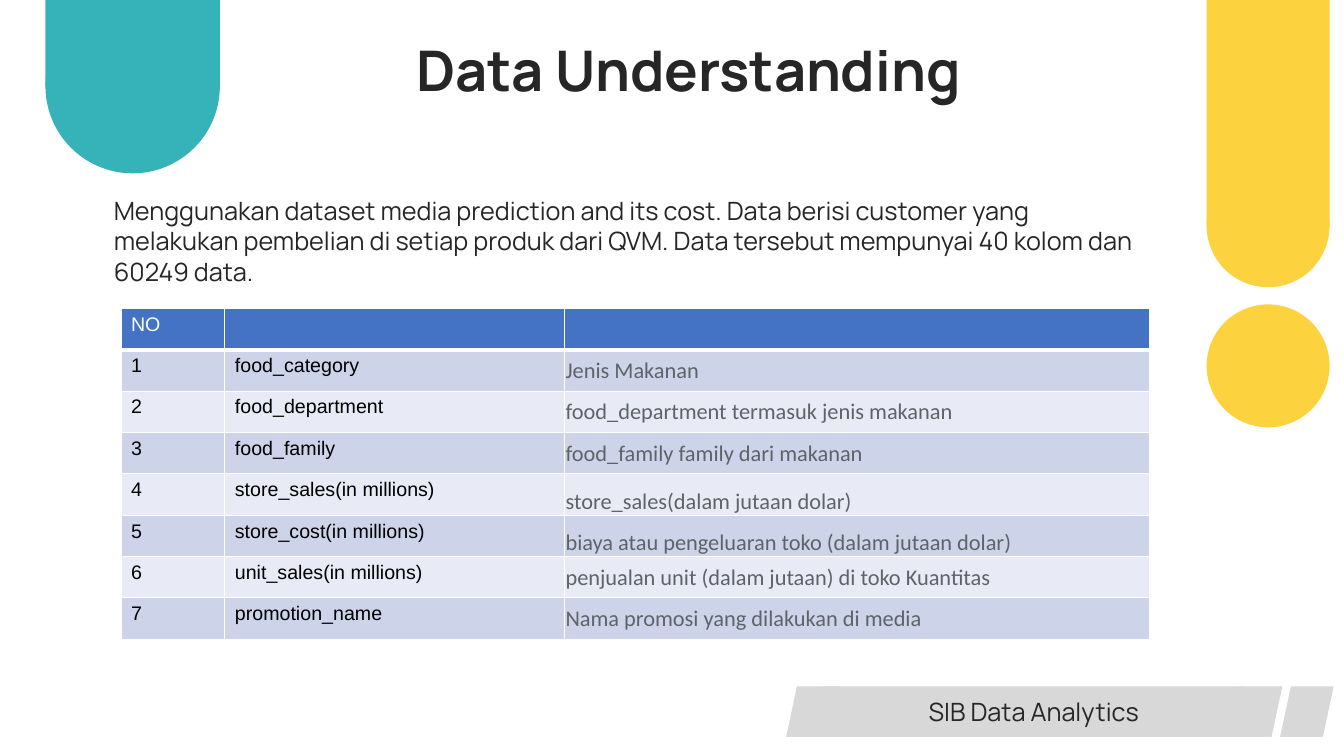
from lxml import etree
from pptx import Presentation
from pptx import util as u
from pptx.dml.color import RGBColor
from pptx.enum import shapes, text
from pptx.oxml.ns import qn

TEAL = RGBColor(0x35, 0xB3, 0xB9)
YELLOW = RGBColor(0xFC, 0xD3, 0x3E)
GREY = RGBColor(0xD8, 0xD8, 0xD8)
INK = RGBColor(0x26, 0x26, 0x26)
SLATE = RGBColor(0x5F, 0x63, 0x68)
BLACK = RGBColor(0, 0, 0)
WHITE = RGBColor(0xFF, 0xFF, 0xFF)
HEADER = RGBColor(0x44, 0x72, 0xC4)
BANDS = RGBColor(0xCD, 0xD4, 0xEA), RGBColor(0xE8, 0xEB, 0xF5)

SHAPE = shapes.MSO_SHAPE
ANCHOR = text.MSO_ANCHOR

INTRO = ("Menggunakan dataset media prediction and its cost. Data berisi customer yang "
         "melakukan pembelian di setiap produk dari QVM. Data tersebut mempunyai 40 kolom "
         "dan 60249 data.")
FIELDS = [
    ("food_category", "Jenis Makanan", ANCHOR.MIDDLE),
    ("food_department", "food_department termasuk jenis makanan", ANCHOR.MIDDLE),
    ("food_family", "food_family family dari makanan", ANCHOR.MIDDLE),
    ("store_sales(in millions)", "store_sales(dalam jutaan dolar)", ANCHOR.BOTTOM),
    ("store_cost(in millions)", "biaya atau pengeluaran toko (dalam jutaan dolar)", ANCHOR.BOTTOM),
    ("unit_sales(in millions)", "penjualan unit (dalam jutaan) di toko Kuantitas", ANCHOR.MIDDLE),
    ("promotion_name", "Nama promosi yang dilakukan di media", ANCHOR.MIDDLE),
]


class SlideBuilder:
    """Adds styled elements to one slide; lengths are percentages of its size."""

    font = "Manrope"

    def __init__(self, prs):
        self.width, self.height = prs.slide_width, prs.slide_height
        self.s = prs.slides.add_slide(prs.slide_layouts[5])

    def x(self, share):
        return u.Emu(round(self.width * share / 100))

    def y(self, share):
        return u.Emu(round(self.height * share / 100))

    def box(self, left, top, width, height):
        return self.x(left), self.y(top), self.x(width), self.y(height)

    def set_text(self, tf, words, size, color=INK, font=None, bold=None, align=None):
        tf.text = words
        p = tf.paragraphs[0]
        p.alignment = align
        for r in p.runs:
            r.font.size, r.font.name, r.font.bold = u.Pt(size), font or self.font, bold
            r.font.color.rgb = color

    def title(self, words, *place):
        sp = self.s.shapes.title
        sp.left, sp.top, sp.width, sp.height = self.box(*place)
        tf = sp.text_frame
        tf.vertical_anchor = ANCHOR.TOP
        tf.auto_size = text.MSO_AUTO_SIZE.SHAPE_TO_FIT_TEXT
        self.set_text(tf, words, 40, bold=True, align=text.PP_ALIGN.LEFT)

    def textbox(self, words, *place):
        tf = self.s.shapes.add_textbox(*self.box(*place)).text_frame
        tf.word_wrap = True
        tf.auto_size = text.MSO_AUTO_SIZE.SHAPE_TO_FIT_TEXT
        self.set_text(tf, words, 18)

    def shape(self, kind, color, *place, group=None):
        sp = (group or self.s).shapes.add_shape(kind, *self.box(*place))
        sp.shadow.inherit = False
        sp.fill.solid()
        sp.fill.fore_color.rgb = color
        sp.line.fill.background()
        return sp

    def circle(self, color, left, top, width, group=None):
        height = width * self.width / self.height
        self.shape(SHAPE.OVAL, color, left, top, width, height, group=group)

    def hanging_pill(self, color, left, top, width, bottom):
        """Bar from top to bottom whose lower end is a half circle."""
        group = self.s.shapes.add_group_shape()
        diameter = width * self.width / self.height
        self.circle(color, left, bottom - diameter, width, group)
        self.shape(SHAPE.RECTANGLE, color, left, top, width,
                   bottom - diameter / 2 - top, group=group)

    def footer(self, words, top, height):
        group = self.s.shapes.add_group_shape()
        for left in (95.25, 58.5, 91.43):
            self.shape(SHAPE.FLOWCHART_DATA, GREY, left, top, 3.98, height, group=group)
        bar = self.shape(SHAPE.RECTANGLE, GREY, 61.28, top, 31.28, height, group=group)
        bar.text_frame.vertical_anchor = ANCHOR.MIDDLE
        self.set_text(bar.text_frame, words, 18, align=text.PP_ALIGN.CENTER)

    def cell(self, cell, fill, top=1, bottom=1):
        """Fills a cell and draws its white borders, widths in points."""
        tcPr = cell._tc.get_or_add_tcPr()
        for side, width in zip("LRTB", (1, 1, top, bottom)):
            ln = etree.SubElement(tcPr, qn(f"a:ln{side}"), w=str(u.Pt(width)))
            solid = etree.SubElement(ln, qn("a:solidFill"))
            etree.SubElement(solid, qn("a:srgbClr"), val=str(WHITE))
        cell.fill.solid()
        cell.fill.fore_color.rgb = fill

    def field_table(self, fields, left, top, widths, row_height):
        count = len(fields) + 1
        table = self.s.shapes.add_table(
            count, len(widths),
            *self.box(left, top, sum(widths), row_height * count)).table
        for column, width in zip(table.columns, widths):
            column.width = self.x(width)
        for row in table.rows:
            row.height = self.y(row_height)
        for cell in table.rows[0].cells:
            self.cell(cell, HEADER, bottom=3)
        self.set_text(table.cell(0, 0).text_frame, "NO", 14, WHITE, "Arial")
        for n, (name, meaning, anchor) in enumerate(fields, 1):
            number_cell, name_cell, meaning_cell = cells = list(table.rows[n].cells)
            for cell in cells:
                self.cell(cell, BANDS[(n - 1) % 2], top=3 if n == 1 else 1)
            self.set_text(number_cell.text_frame, str(n), 14, BLACK, "Arial")
            self.set_text(name_cell.text_frame, name, 14, BLACK, "Arial")
            self.set_text(meaning_cell.text_frame, meaning, 16, SLATE, "Calibri")
            meaning_cell.vertical_anchor = anchor
            meaning_cell.margin_left = meaning_cell.margin_right = u.Inches(0.01)
            meaning_cell.margin_top, meaning_cell.margin_bottom = u.Inches(0.01), 0


def main():
    prs = Presentation()
    prs.slide_width, prs.slide_height = u.Inches(13.33), u.Inches(7.5)
    slide = SlideBuilder(prs)
    slide.hanging_pill(TEAL, 3.38, -0.13, 12.98, 22.93)
    slide.title("Data Understanding", 30.23, 4, 52.43, 10.27)
    slide.textbox(INTRO, 7.73, 25.2, 78.98, 13.47)
    slide.hanging_pill(YELLOW, 89.78, 0, 9.15, 38)
    slide.circle(YELLOW, 89.78, 40.27, 9.15)
    slide.footer("SIB Data Analytics", 90.8, 6.67)
    slide.field_table(FIELDS, 9, 40.8, (7.73, 25.28, 43.5), 5.47)
    prs.save("out.pptx")


if __name__ == "__main__":
    main()
